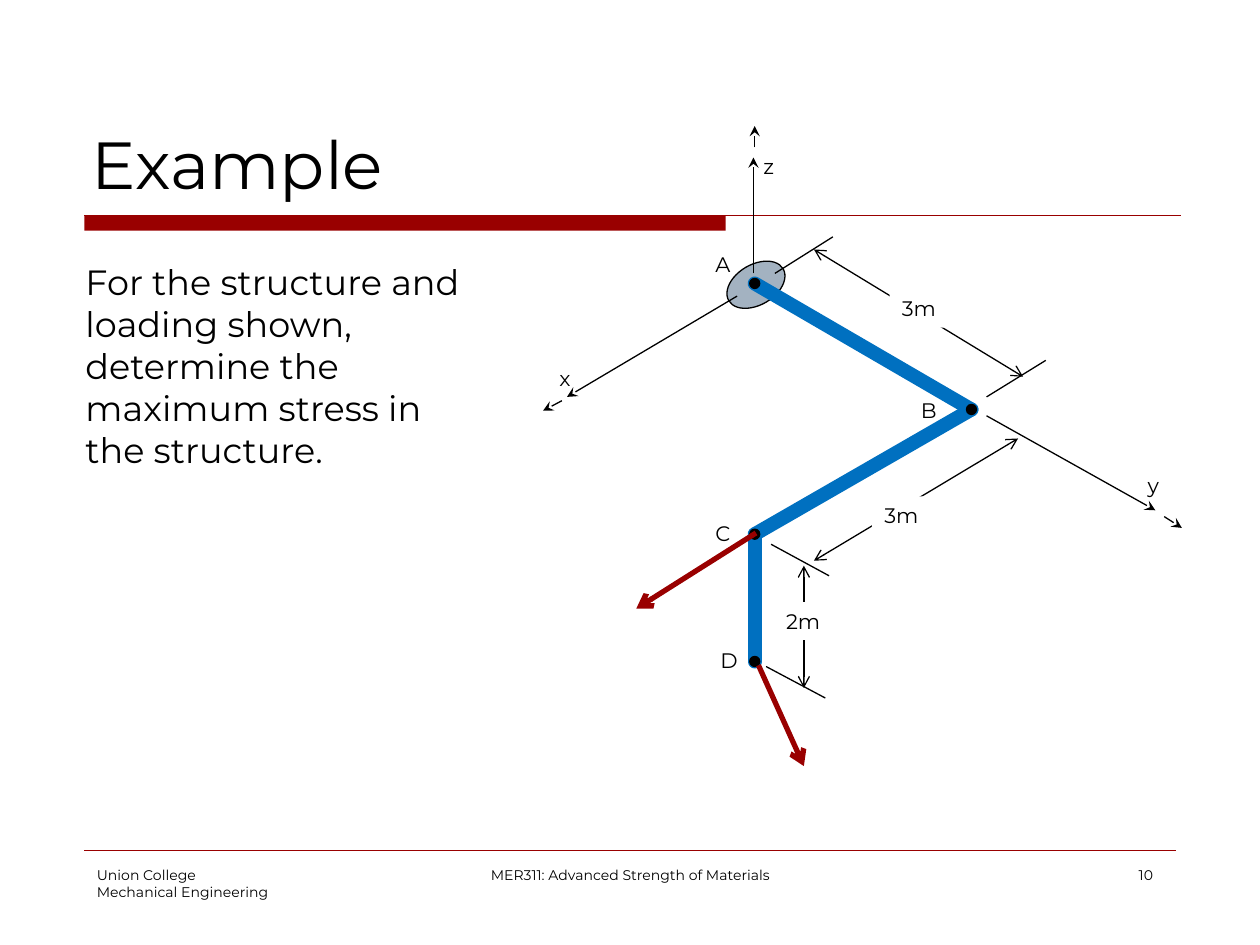
from typing import NamedTuple

from lxml.etree import SubElement
from pptx import Presentation
from pptx.dml.color import RGBColor
from pptx.enum.shapes import MSO_CONNECTOR, MSO_SHAPE
from pptx.enum.text import MSO_ANCHOR, MSO_AUTO_SIZE, PP_ALIGN
from pptx.oxml.ns import qn
from pptx.util import Inches, Pt

FONT = "Montserrat"
BLACK, WHITE, RED, BLUE, GREY = "000000", "FFFFFF", "990000", "0070C0", "A3B2C1"
COLUMNS = 10
LABEL_HEIGHT = 0.3
DOT_SIZE = 0.08


class Point(NamedTuple):
    column: float
    row: float


class Box(NamedTuple):
    column: float
    row: float
    columns: float
    rows: float


class Label(NamedTuple):
    text: str
    column: float
    row: float
    columns: float = 0.33


class Stroke(NamedTuple):
    start: Point
    end: Point
    head: str = ""
    tail: str = ""
    color: str = BLACK
    width: float = 0.75
    cap: str = ""


class Dimension(NamedTuple):
    start: Point
    end: Point
    label: Label


prs = Presentation()
prs.slide_width, prs.slide_height = Inches(10), Inches(7.5)
slide = prs.slides.add_slide(prs.slide_layouts[6])


def grid(cells: float) -> int:
    """Length of square grid cells, ten of which span the slide."""
    return round(prs.slide_width * cells / COLUMNS)


def rgb(color: str) -> RGBColor:
    return RGBColor.from_string(color)


def draw_stroke(stroke: Stroke) -> None:
    connector = slide.shapes.add_connector(
        MSO_CONNECTOR.STRAIGHT, *map(grid, (*stroke.start, *stroke.end)))
    connector.line.color.rgb = rgb(stroke.color)
    connector.line.width = Pt(stroke.width)
    outline = connector.line._get_or_add_ln()
    if stroke.cap:
        outline.set("cap", stroke.cap)
    for tag, arrow in (("a:headEnd", stroke.head), ("a:tailEnd", stroke.tail)):
        if arrow:
            SubElement(outline, qn(tag)).set("type", arrow)
    SubElement(connector._element.spPr, qn("a:effectLst"))


def draw_shape(kind: MSO_SHAPE, box: Box, fill: str, outlined: bool = False,
               rotation: float = 0):
    shape = slide.shapes.add_shape(kind, *map(grid, box))
    shape.shadow.inherit = False
    shape.rotation = rotation
    shape.fill.solid()
    shape.fill.fore_color.rgb = rgb(fill)
    if outlined:
        shape.line.color.rgb = rgb(BLACK)
        shape.line.width = Pt(0.75)
    else:
        shape.line.fill.background()
    return shape


def write(shape, lines: list[str], size: float, align=PP_ALIGN.LEFT,
          anchor=MSO_ANCHOR.TOP, wrap: bool = True) -> None:
    frame = shape.text_frame
    frame.word_wrap = wrap
    frame.auto_size = MSO_AUTO_SIZE.NONE if wrap else MSO_AUTO_SIZE.SHAPE_TO_FIT_TEXT
    frame.vertical_anchor = anchor
    for number, line in enumerate(lines):
        paragraph = frame.add_paragraph() if number else frame.paragraphs[0]
        paragraph.alignment = align
        run = paragraph.add_run()
        run.text = line
        run.font.name, run.font.size = FONT, Pt(size)
        run.font.color.rgb = rgb(BLACK)


def add_text(box: Box, lines: list[str], size: float, **options) -> None:
    write(slide.shapes.add_textbox(*map(grid, box)), lines, size, **options)


def draw_label(label: Label) -> None:
    add_text(Box(label.column, label.row, label.columns, LABEL_HEIGHT),
             [label.text], 12, wrap=False)


def draw_dimension(dimension: Dimension) -> None:
    """Two-headed arrow broken by a white box with its length."""
    draw_stroke(Stroke(dimension.start, dimension.end, "arrow", "arrow"))
    label = dimension.label
    gap = draw_shape(MSO_SHAPE.RECTANGLE,
                     Box(label.column, label.row, label.columns, LABEL_HEIGHT), WHITE)
    write(gap, [label.text], 12, wrap=False)


# Title, task and footer
LEFT, RULE_ROW, FOOTER_ROW = 0.67, 1.71, 6.83
draw_shape(MSO_SHAPE.RECTANGLE, Box(LEFT, RULE_ROW, 5.09, 0.12), RED)
draw_stroke(Stroke(Point(LEFT, RULE_ROW), Point(9.37, RULE_ROW), color=RED))
draw_stroke(Stroke(Point(LEFT, 6.75), Point(9.33, 6.75), color=RED, width=0.25))
add_text(Box(0.63, 0.33, 8.75, 1.33), ["Example"], 38, anchor=MSO_ANCHOR.BOTTOM)
add_text(Box(0.58, 2.02, 3.25, 1.78),
         ["For the structure and loading shown, determine the maximum stress "
          "in the structure."], 20)
add_text(Box(LEFT, FOOTER_ROW, 2.08, 0.5),
         ["Union College", "Mechanical Engineering"], 8)
add_text(Box(3.42, FOOTER_ROW, 3.17, 0.5),
         ["MER311: Advanced Strength of Materials"], 8, align=PP_ALIGN.CENTER)
add_text(Box(7.17, FOOTER_ROW, 2.08, 0.5), ["10"], 8, align=PP_ALIGN.RIGHT)

# Structure: wall support at A, then members A-B, B-C and C-D
joints = [Point(5.99, 2.25), Point(7.71, 3.25), Point(5.99, 4.24), Point(5.99, 5.25)]
draw_shape(MSO_SHAPE.OVAL, Box(5.75, 2.1, 0.5, 0.32), GREY, True, 329.6)
for near, far in zip(joints, joints[1:]):
    draw_stroke(Stroke(near, far, color=BLUE, width=8, cap="rnd"))

# Each axis is a long arrow followed by a short one
axes = [
    (Point(5.98, 2.17), Point(5.98, 1.25)), (Point(5.99, 1.17), Point(5.99, 1)),
    (Point(7.83, 3.3), Point(9.17, 4.05)), (Point(9.24, 4.1), Point(9.38, 4.19)),
    (Point(5.85, 2.35), Point(4.5, 3.15)), (Point(4.46, 3.18), Point(4.31, 3.26)),
]
for start, end in axes:
    draw_stroke(Stroke(start, end, tail="stealth"))

for joint in joints:
    draw_shape(MSO_SHAPE.OVAL, Box(joint.column - DOT_SIZE / 2, joint.row - DOT_SIZE / 2,
                                   DOT_SIZE, DOT_SIZE), BLACK, True)

labels = [
    Label("x", 4.34, 2.85, 0.31), Label("y", 9.01, 3.7, 0.31), Label("z", 5.96, 1.17, 0.29),
    Label("A", 5.58, 1.95), Label("B", 7.21, 3.11),
    Label("C", 5.58, 4.08), Label("D", 5.62, 5.09),
]
for label in labels:
    draw_label(label)

loads = [(Point(6.02, 5.28), Point(6.38, 6.08)), (Point(6, 4.23), Point(5.05, 4.83))]
for start, end in loads:
    draw_stroke(Stroke(start, end, tail="arrow", color=RED, width=3))

extension_lines = [
    (Point(6.15, 2.17), Point(6.61, 1.88)), (Point(7.83, 3.15), Point(8.3, 2.86)),
    (Point(6.12, 4.32), Point(6.58, 4.57)), (Point(6.08, 5.29), Point(6.55, 5.54)),
]
for start, end in extension_lines:
    draw_stroke(Stroke(start, end))

dimensions = [
    Dimension(Point(6.46, 1.98), Point(8.12, 2.99), Label("3m", 7.06, 2.3, 0.48)),
    Dimension(Point(6.46, 4.45), Point(8.08, 3.48), Label("3m", 6.92, 3.94, 0.48)),
    Dimension(Point(6.38, 4.49), Point(6.38, 5.46), Label("2m", 6.14, 4.78, 0.48)),
]
for dimension in dimensions:
    draw_dimension(dimension)

prs.save("out.pptx")
